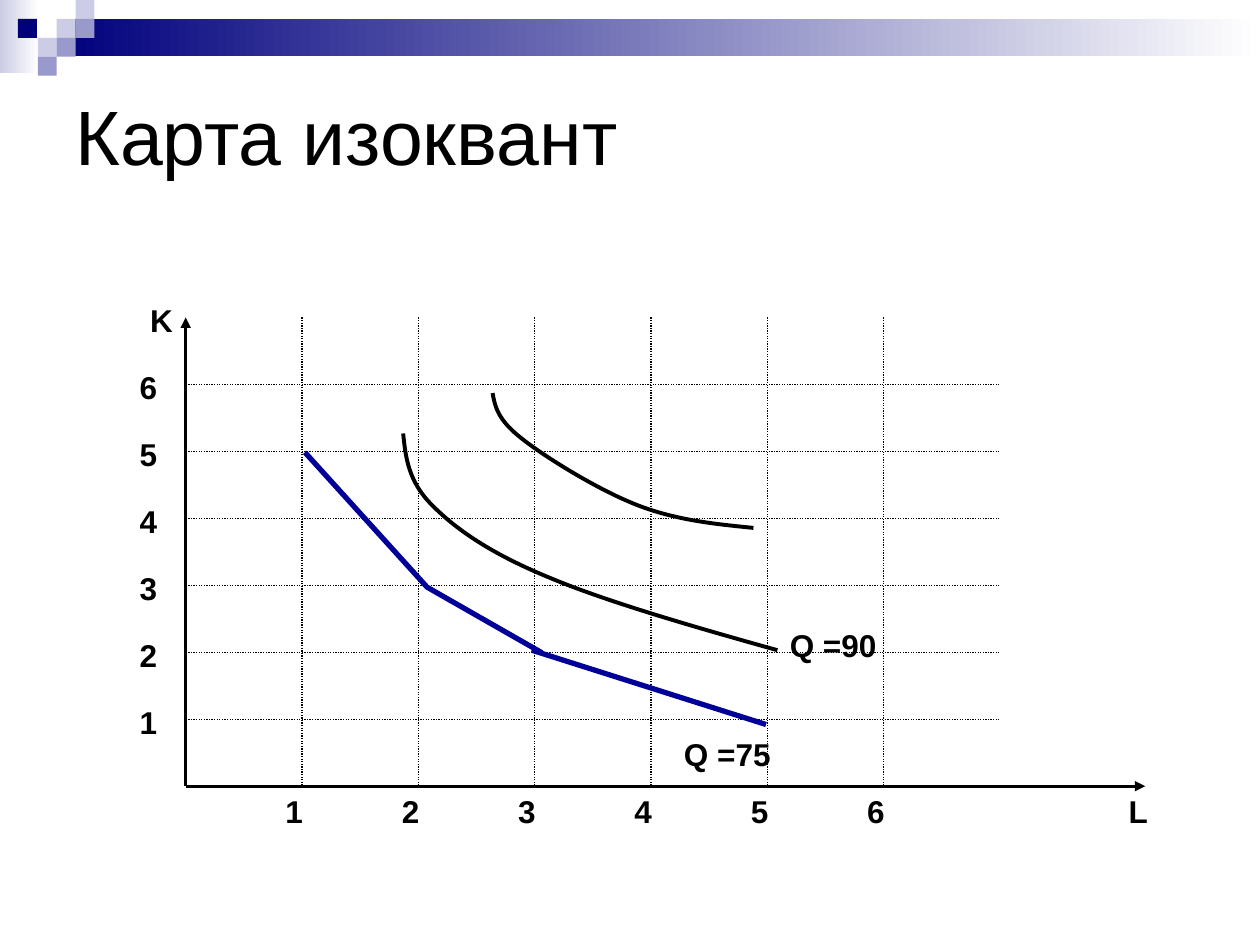
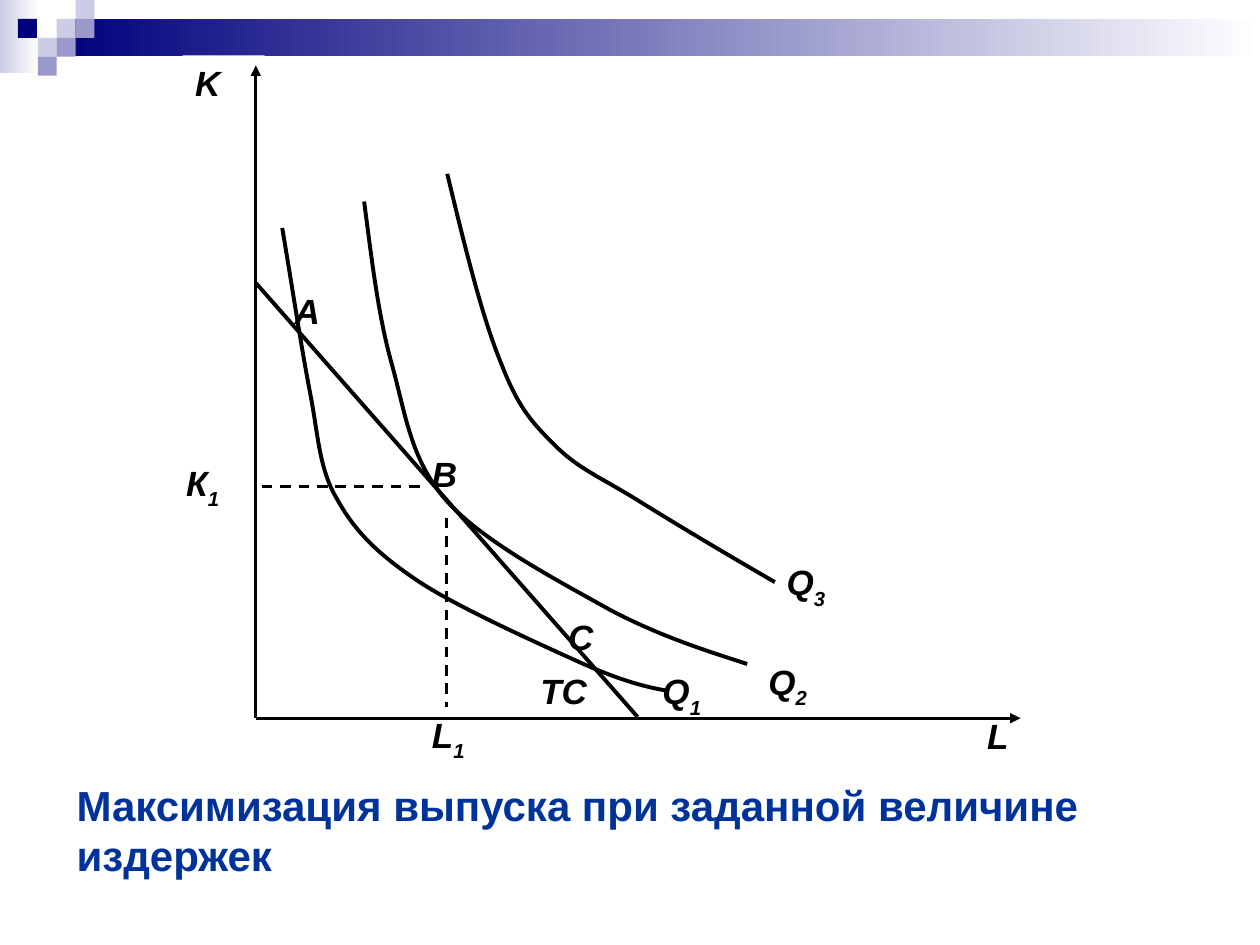
import pptx
import pptx.util
import pptx.dml.color
import pptx.enum.dml
import pptx.enum.shapes
import pptx.enum.text
import pptx.oxml.ns
import lxml.etree

COLORS = {
    "ink": "000000",
    "paper": "FFFFFF",
    "navy": "00007D",
    "lilac": "9999CC",
    "pale": "CCCCE6",
    "isoquant": "000099",
    "caption": "003399",
}
RGB = {name: pptx.dml.color.RGBColor.from_string(value) for name, value in COLORS.items()}
FONT = "Arial"
DOTTED = pptx.enum.dml.MSO_LINE.ROUND_DOT
DASHED = pptx.enum.dml.MSO_LINE.DASH
MIDDLE = pptx.enum.text.MSO_ANCHOR.MIDDLE
RIGHT = pptx.enum.text.PP_ALIGN.RIGHT

deck = pptx.Presentation()
deck.slide_width = pptx.util.Inches(10)
deck.slide_height = pptx.util.Inches(7.5)
column = deck.slide_width / 100
row = deck.slide_height / 75


def write(slide, box, runs, size, color="ink", bold=True, italic=False,
          fill="paper", align=None, anchor=None, wrap=True, top=0.5):
    left, upper, width, height = box
    label = slide.shapes.add_textbox(int(left * column), int(upper * row),
                                     int(width * column), int(height * row))
    if fill:
        label.fill.solid()
        label.fill.fore_color.rgb = RGB[fill]
    frame = label.text_frame
    frame.word_wrap = wrap
    frame.margin_top = int(top * row)
    if anchor:
        frame.vertical_anchor = anchor
    paragraph = frame.paragraphs[0]
    paragraph.alignment = align
    for position, text in enumerate(runs):
        run = paragraph.add_run()
        run.text = text
        run.font.name = FONT
        run.font.size = pptx.util.Pt(size)
        run.font.bold = bold
        run.font.italic = italic
        run.font.color.rgb = RGB[color]
        if position:
            run.font._element.set("baseline", "-30000")


def rule(slide, start, end, weight, dash=None, arrow=False):
    stroke = slide.shapes.add_connector(
        pptx.enum.shapes.MSO_CONNECTOR.STRAIGHT,
        int(start[0] * column), int(start[1] * row),
        int(end[0] * column), int(end[1] * row))
    stroke.line.color.rgb = RGB["ink"]
    stroke.line.width = pptx.util.Pt(weight)
    if dash:
        stroke.line.dash_style = dash
    if arrow:
        tip = lxml.etree.SubElement(stroke.line._get_or_add_ln(), pptx.oxml.ns.qn("a:tailEnd"))
        tip.set("type", "triangle")
    lxml.etree.SubElement(stroke._element.spPr, pptx.oxml.ns.qn("a:effectLst"))


blank = deck.slide_layouts[6]
isoquant_map = deck.slides.add_slide(blank)
output_choice = deck.slides.add_slide(blank)

tile = 1.5
header = [
    ((0, 0, 3.1, 5.8), "pale", True),
    ((4.5, tile, 95.5, 2.95), "navy", True),
]
for tile_column, tile_row, color in [
    (3, 1, "pale"), (4, 0, "pale"), (4, 1, "lilac"), (2, 2, "pale"),
    (0.95, 1, "navy"), (3, 2, "lilac"), (2, 3, "lilac"),
]:
    header.append(((tile_column * tile, tile_row * tile, tile, tile), color, False))

for (left, upper, width, height), color, fades in header:
    patch = isoquant_map.shapes.add_shape(
        pptx.enum.shapes.MSO_SHAPE.RECTANGLE,
        int(left * column), int(upper * row), int(width * column), int(height * row))
    patch.shadow.inherit = False
    patch.line.fill.background()
    if fades:
        patch.fill.gradient()
        patch.fill.gradient_angle = 0
        for stop, shade, place in zip(patch.fill.gradient_stops, (color, "paper"), (0, 1)):
            stop.color.rgb = RGB[shade]
            stop.position = place
    else:
        patch.fill.solid()
        patch.fill.fore_color.rgb = RGB[color]
    blank.shapes._spTree.append(patch._element)

write(isoquant_map, (5, 5, 90, 11.4), ["Карта изоквант"], 44, bold=False, fill=None, anchor=MIDDLE)

origin_x, origin_y = 14.74, 62.4
labor_step = 55.4 / 6
capital_step = 31.9 / 6
grid_top, grid_right = 25.2, 79.35
ticks = range(1, 7)

write(isoquant_map, (53.3, 57.85, 16.2, 3.5), ["Q =75"], 18)
write(isoquant_map, (88.6, origin_y, 9.2, 3.5), ["L"], 18)
write(isoquant_map, (7.8, 23.4, 6.9, 3.5), ["K"], 18, align=RIGHT)
for tick in ticks:
    labor = origin_x + tick * labor_step
    capital = origin_y - tick * capital_step
    write(isoquant_map, (10.1, capital - 1.8, 4.6, 3.5), [str(tick)], 18)
    write(isoquant_map, (labor - 2.3, origin_y, 4.6, 3.5), [str(tick)], 18)
rule(isoquant_map, (origin_x, origin_y), (origin_x, grid_top), 1.5, arrow=True)
rule(isoquant_map, (origin_x, origin_y), (90.9, origin_y), 1.5, arrow=True)
for tick in ticks:
    labor = origin_x + tick * labor_step
    capital = origin_y - tick * capital_step
    rule(isoquant_map, (origin_x, capital), (grid_right, capital), 0.75, DOTTED)
    rule(isoquant_map, (labor, grid_top), (labor, origin_y), 0.75, DOTTED)

for box, runs in [
    ((14.5, 4.4, 6.5, 6.5), ["K"]),
    ((51.6, 52.65, 6.3, 6.5), ["Q", "1"]),
    ((13.8, 36.1, 8.7, 6.5), ["К", "1"]),
    ((33.3, 56.1, 8.7, 6.5), ["L", "1"]),
    ((33.3, 35.4, 6.5, 6.5), ["В"]),
    ((44.1, 48.35, 6.5, 6.5), ["С"]),
    ((22.4, 22.45, 6.5, 6.5), ["А"]),
    ((61.45, 44, 8.7, 6.5), ["Q", "3"]),
    ((77.35, 56.2, 6.5, 6.5), ["L"]),
    ((60, 51.9, 8.7, 6.5), ["Q", "2"]),
    ((41.9, 52.65, 8.1, 8.7), ["ТС"]),
]:
    write(output_choice, box, runs, 20, italic=True)

corner = (20.3, 57)
rule(output_choice, corner, (20.3, 5.2), 1.5, arrow=True)
rule(output_choice, corner, (81, 57), 1.5, arrow=True)
rule(output_choice, (20.3, 22.45), (50.6, 56.9), 2.25)

curve_style = ("ink", 2.25, True)
segment_style = ("isoquant", 3, False)
for slide, (color, weight, curved), knots in [
    (isoquant_map, curve_style, [
        (39.1, 31.2), (39.3, 32.3), (39.5, 33.3), (41.4, 34.8), (43.3, 36.3),
        (47.5, 38.9), (50.6, 40.1), (53.7, 41.3), (56.8, 41.6), (59.8, 41.9)]),
    (isoquant_map, curve_style, [
        (32, 34.4), (32.2, 36.3), (32.4, 38.2), (34.3, 40.1), (36.2, 42),
        (38.9, 43.9), (43.5, 45.8), (48, 47.7), (54.9, 49.7), (61.7, 51.6)]),
    (isoquant_map, segment_style, [(24.2, 35.9), (33.9, 46.6), (43, 51.8)]),
    (isoquant_map, segment_style, [(42.2, 51.6), (60.8, 57.5)]),
    (output_choice, curve_style, [
        (28.9, 16), (29.5, 20.5), (30, 25), (31.1, 28.9), (32.2, 32.9),
        (32.6, 36.5), (35.4, 39.7), (38.3, 43), (44.5, 46.2), (48.4, 48.4),
        (52.4, 50.5), (55.9, 51.6), (59.3, 52.7)]),
    (output_choice, curve_style, [
        (22.4, 18.1), (23.2, 22.8), (23.9, 27.5), (24.6, 31.1), (25.3, 34.7),
        (25.3, 37.2), (26.8, 39.7), (28.2, 42.2), (30, 44), (33.3, 46.2),
        (36.5, 48.3), (43, 51.2), (46.3, 52.7), (49.5, 54.1), (51.2, 54.5), (52.8, 54.8)]),
    (output_choice, curve_style, [
        (35.5, 13.8), (36.9, 19.6), (38.3, 25.3), (39.8, 28.9), (41.2, 32.5),
        (42.3, 33.6), (44.1, 35.4), (45.9, 37.2), (47.7, 37.9), (50.6, 39.7),
        (53.5, 41.5), (57.5, 43.9), (61.5, 46.2)]),
]:
    points = [(x * column, y * row) for x, y in knots]
    builder = slide.shapes.build_freeform(*points[0])
    builder.add_line_segments(points[1:], close=False)
    isoquant = builder.convert_to_shape()
    isoquant.shadow.inherit = False
    isoquant.fill.background()
    isoquant.line.color.rgb = RGB[color]
    isoquant.line.width = pptx.util.Pt(weight)
    if curved:
        steps = list(isoquant._element.iter(pptx.oxml.ns.qn("a:lnTo")))
        outline = steps[0].getparent()
        for first in range(0, len(steps), 3):
            bend = lxml.etree.SubElement(outline, pptx.oxml.ns.qn("a:cubicBezTo"))
            for step in steps[first:first + 3]:
                bend.append(step[0])
                outline.remove(step)

rule(output_choice, (33.3, 38.6), (20.3, 38.6), 1.5, DASHED)
rule(output_choice, (35.45, 41.1), (35.45, 56.1), 1.5, DASHED)

write(isoquant_map, (61.7, 49.2, 9, 4), ["Q =90"], 18, fill=None, wrap=False)
write(output_choice, (5.1, 58, 91.3, 13.8), ["Максимизация выпуска при заданной величине издержек"],
      24, color="caption", fill=None, anchor=MIDDLE, top=2.4)

deck.save("out.pptx")
